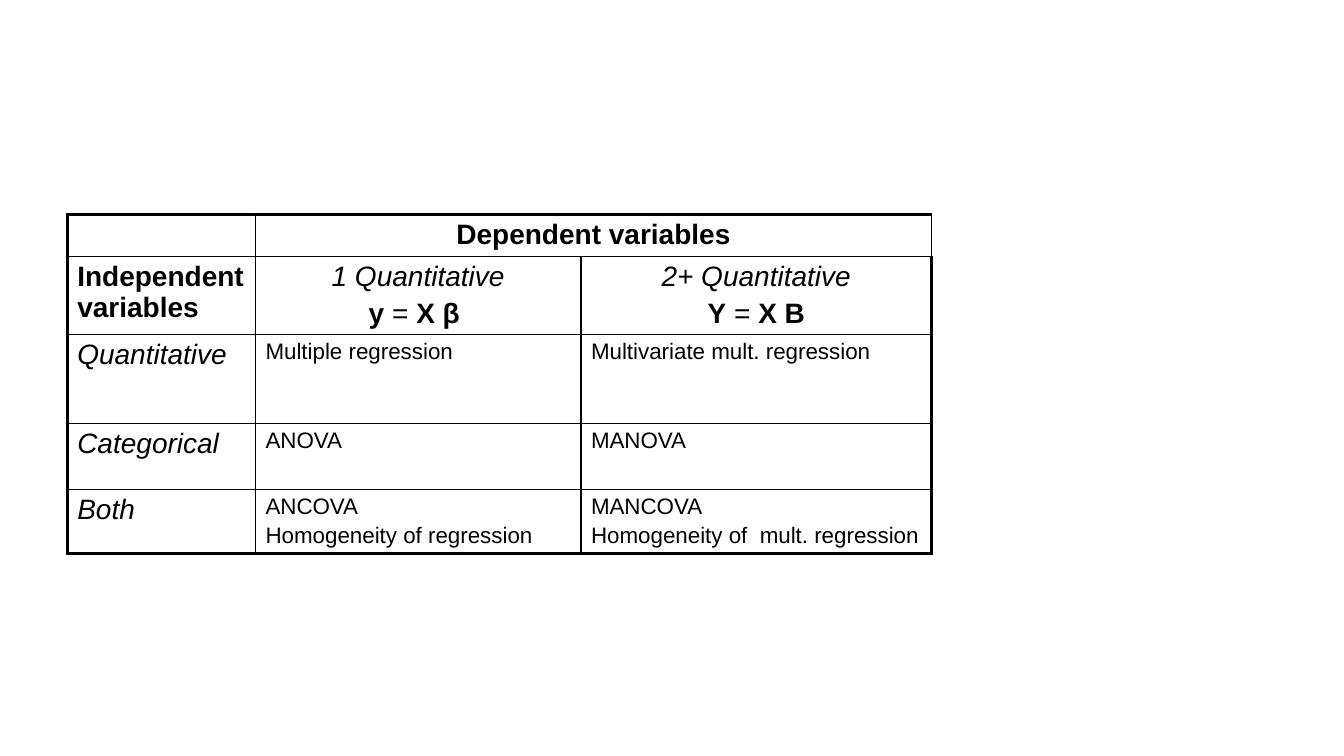
import pptx
import pptx.dml.color
import pptx.enum.text
import pptx.oxml
import pptx.oxml.ns
import pptx.util
from lxml import etree

Pt = pptx.util.Pt
CENTER = pptx.enum.text.PP_ALIGN.CENTER
INK = "000000"
COLUMN_WIDTHS = [134.5, 232.5, 250.5]
ROW_HEIGHTS = [30, 56, 63.5, 47, 46]
HEADING = {"size": 20, "bold": True}
CATEGORY = {"size": 20, "italic": True}
METHOD = {"size": 16}

METHODS_BY_VARIABLES = [
    ("Quantitative", ["Multiple regression"], ["Multivariate mult. regression"]),
    ("Categorical", ["ANOVA"], ["MANOVA"]),
    ("Both", ["ANCOVA", "Homogeneity of regression"],
     ["MANCOVA", "Homogeneity of  mult. regression"]),
]
MODELS = [("1 Quantitative", "y", "X β "), ("2+ Quantitative", "Y", "X B")]


def color(hex_string):
    return pptx.dml.color.RGBColor.from_string(hex_string)


def set_borders(cell, widths):
    properties = cell._tc.get_or_add_tcPr()
    for position, (side, width) in enumerate(widths.items()):
        border = etree.Element(pptx.oxml.ns.qn(f"a:ln{side}"), w=str(int(Pt(width))))
        fill = etree.SubElement(border, pptx.oxml.ns.qn("a:solidFill"))
        etree.SubElement(fill, pptx.oxml.ns.qn("a:srgbClr"), val=INK)
        properties.insert(position, border)


def format_paragraph(paragraph, size, bold=False, italic=False):
    font = paragraph.font
    font.name = "Arial"
    font.size = Pt(size)
    font.bold = bold
    font.italic = italic
    font.color.rgb = color(INK)


def write_lines(cell, lines, style, align=None):
    frame = cell.text_frame
    for index, line in enumerate(lines):
        paragraph = frame.add_paragraph() if index else frame.paragraphs[0]
        paragraph.text = line
        paragraph.alignment = align
        if index:
            paragraph.space_before = Pt(style["size"] * 0.2)
        format_paragraph(paragraph, **style)


def write_model(cell, category, response, predictors):
    write_lines(cell, [category], CATEGORY, CENTER)
    equation = cell.text_frame.add_paragraph()
    equation.alignment = CENTER
    equation.space_before = Pt(4)
    format_paragraph(equation, size=20)
    for term, bold in ((response, True), (" = ", False), (predictors, True)):
        run = equation.add_run()
        run.text = term
        run.font.bold = bold


def add_methods_table(slide, left, top):
    row_count, column_count = len(ROW_HEIGHTS), len(COLUMN_WIDTHS)
    table = slide.shapes.add_table(
        row_count, column_count, Pt(left), Pt(top),
        Pt(sum(COLUMN_WIDTHS)), Pt(sum(ROW_HEIGHTS))).table
    table.first_row = False
    table.horz_banding = False
    for column, width in zip(table.columns, COLUMN_WIDTHS):
        column.width = Pt(width)
    for row, height in zip(table.rows, ROW_HEIGHTS):
        row.height = Pt(height)

    for row in range(row_count):
        for column in range(column_count):
            cell = table.cell(row, column)
            cell.fill.background()
            set_borders(cell, {
                "L": 2.25 if column == 0 else 1,
                "R": 2.25 if column == column_count - 1 else 1,
                "T": 2.25 if row == 0 else 1,
                "B": 2.25 if row == row_count - 1 else 1,
            })

    dependent = table.cell(0, 1)
    dependent.merge(table.cell(0, 2))
    set_borders(dependent, {})
    write_lines(dependent, ["Dependent variables"], HEADING, CENTER)
    write_lines(table.cell(1, 0), ["Independent variables"], HEADING)
    for column, model in enumerate(MODELS, 1):
        write_model(table.cell(1, column), *model)
    for row, (category, *methods) in enumerate(METHODS_BY_VARIABLES, 2):
        write_lines(table.cell(row, 0), [category], CATEGORY)
        for column, lines in enumerate(methods, 1):
            write_lines(table.cell(row, column), lines, METHOD)


def main():
    presentation = pptx.Presentation()
    presentation.slide_width = Pt(960)
    presentation.slide_height = Pt(540)
    slide = presentation.slides.add_slide(presentation.slide_layouts[6])
    add_methods_table(slide, left=48, top=153)
    presentation.save("out.pptx")


if __name__ == "__main__":
    main()
